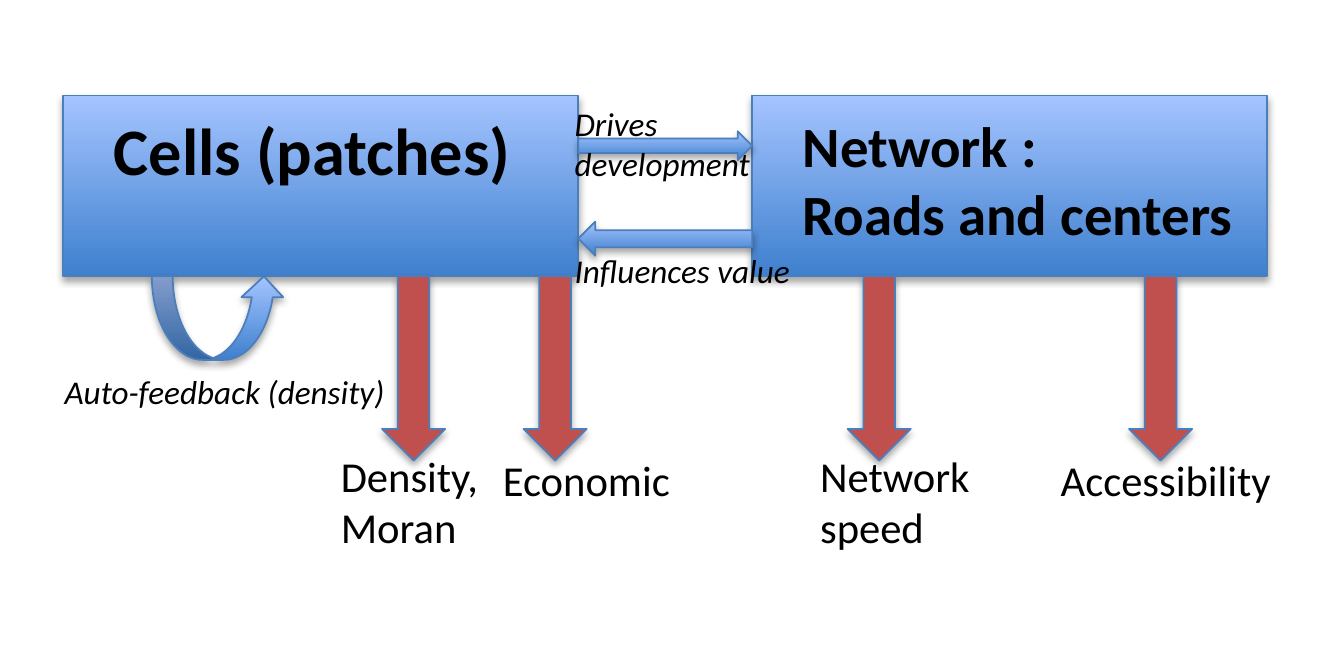
from lxml import etree
from pptx import Presentation
from pptx.dml.color import RGBColor
from pptx.enum.shapes import MSO_SHAPE
from pptx.enum.text import MSO_AUTO_SIZE
from pptx.oxml.ns import qn
from pptx.util import Inches, Pt

BLACK = RGBColor(0x00, 0x00, 0x00)
BLUE_DARK = RGBColor(0x3F, 0x80, 0xCE)
BLUE_LIGHT = RGBColor(0xA4, 0xC4, 0xFF)
BLUE_LINE = RGBColor(0x4B, 0x7E, 0xBC)
RED = RGBColor(0xC0, 0x50, 0x4D)
FONT = "Calibri"

BOX_W, BOX_H = 3.02, 1.06
BOX_TOP = 0.56
CELLS_LEFT, NETWORK_LEFT = 0.37, 4.41
OUTPUT_W, OUTPUT_H = 0.37, 1.08


def add_shadow(sp):
    """Soft shadow straight below the shape."""
    sp.shadow.inherit = False
    effects = sp._element.spPr.find(qn("a:effectLst"))
    shadow = etree.SubElement(
        effects, qn("a:outerShdw"), blurRad=str(Pt(3.1)), dist=str(Pt(1.8)),
        dir="5400000", rotWithShape="0")
    color = etree.SubElement(shadow, qn("a:srgbClr"), val=str(BLACK))
    etree.SubElement(color, qn("a:alpha"), val="35000")


def add_block(s, kind, x, y, w, h, color=None):
    """Outlined shape: plain colour if given, else the blue gradient."""
    sp = s.shapes.add_shape(kind, Inches(x), Inches(y), Inches(w), Inches(h))
    if color is None:
        sp.fill.gradient()
        sp.fill.gradient_angle = 90
        for stop, rgb in zip(sp.fill.gradient_stops, (BLUE_DARK, BLUE_LIGHT)):
            stop.color.rgb = rgb
    else:
        sp.fill.solid()
        sp.fill.fore_color.rgb = color
    sp.line.color.rgb = BLUE_LINE
    sp.line.width = Pt(0.75)
    add_shadow(sp)


def add_label(s, lines, x, y, w, h, size, bold=False, italic=False, wrap=False):
    tb = s.shapes.add_textbox(Inches(x), Inches(y), Inches(w), Inches(h))
    tf = tb.text_frame
    tf.word_wrap = wrap
    tf.auto_size = MSO_AUTO_SIZE.SHAPE_TO_FIT_TEXT
    for i, line in enumerate(lines):
        p = tf.add_paragraph() if i else tf.paragraphs[0]
        r = p.add_run()
        r.text = line
        r.font.name = FONT
        r.font.size = Pt(size)
        r.font.bold = bold
        r.font.italic = italic
        r.font.color.rgb = BLACK


def add_component(s, x, y, lines, label_dy, label_w, label_h, size):
    """Main box with its bold heading."""
    add_block(s, MSO_SHAPE.RECTANGLE, x, y, BOX_W, BOX_H)
    add_label(s, lines, x + 0.2, y + label_dy, label_w, label_h, size, bold=True)


def add_exchange(s, x, y, w):
    """Arrows in the gap between the two boxes."""
    add_block(s, MSO_SHAPE.RIGHT_ARROW, x, y + 0.21, w, 0.17)
    add_label(s, ["Drives", "development"], x - 0.12, y, 1.29, 0.57, 14,
              italic=True)
    add_label(s, ["Influences value"], x - 0.12, y + 0.86, 1.52, 0.34, 14,
              italic=True)
    add_block(s, MSO_SHAPE.LEFT_ARROW, x, y + 0.74, w, 0.2)


def add_feedback(s, x, y):
    """Loop from the cells back to themselves."""
    add_block(s, MSO_SHAPE.CURVED_UP_ARROW, x, y, 0.78, 0.49)
    add_label(s, ["Auto-feedback (density)"], x - 0.61, y + 0.51, 2.15, 0.34, 14,
              italic=True)


def add_output(s, x, y, lines, label_x, label_w, wrap=False, tall=False):
    """Red arrow down to a measured indicator."""
    add_block(s, MSO_SHAPE.DOWN_ARROW, x, y, OUTPUT_W, OUTPUT_H, RED)
    dy, h = (0.97, 0.71) if tall else (0.99, 0.4)
    add_label(s, lines, label_x, y + dy, label_w, h, 18, wrap=wrap)


def main():
    prs = Presentation()
    prs.slide_width, prs.slide_height = Inches(7.88), Inches(3.94)
    s = prs.slides.add_slide(prs.slide_layouts[6])

    # Components
    add_component(s, CELLS_LEFT, BOX_TOP, ["Cells (patches)"],
                  0.03, 2.56, 0.57, 28)
    add_component(s, NETWORK_LEFT, BOX_TOP, ["Network :", "Roads and centers"],
                  0.04, 2.76, 0.91, 24)

    # Interactions
    gap_left = CELLS_LEFT + BOX_W
    add_exchange(s, gap_left, BOX_TOP, NETWORK_LEFT - gap_left)
    bottom = BOX_TOP + BOX_H
    add_feedback(s, CELLS_LEFT + 0.52, bottom)

    # Indicators
    add_output(s, 2.24, bottom, ["Density, Moran"], 1.9, 1.06, wrap=True, tall=True)
    add_output(s, 3.07, bottom, ["Economic"], 2.85, 1.2)
    add_output(s, 4.97, bottom, ["Network", "speed"], 4.71, 1.09, tall=True)
    add_output(s, 6.62, bottom, ["Accessibility"], 6.12, 1.45)

    prs.save("out.pptx")


if __name__ == "__main__":
    main()
